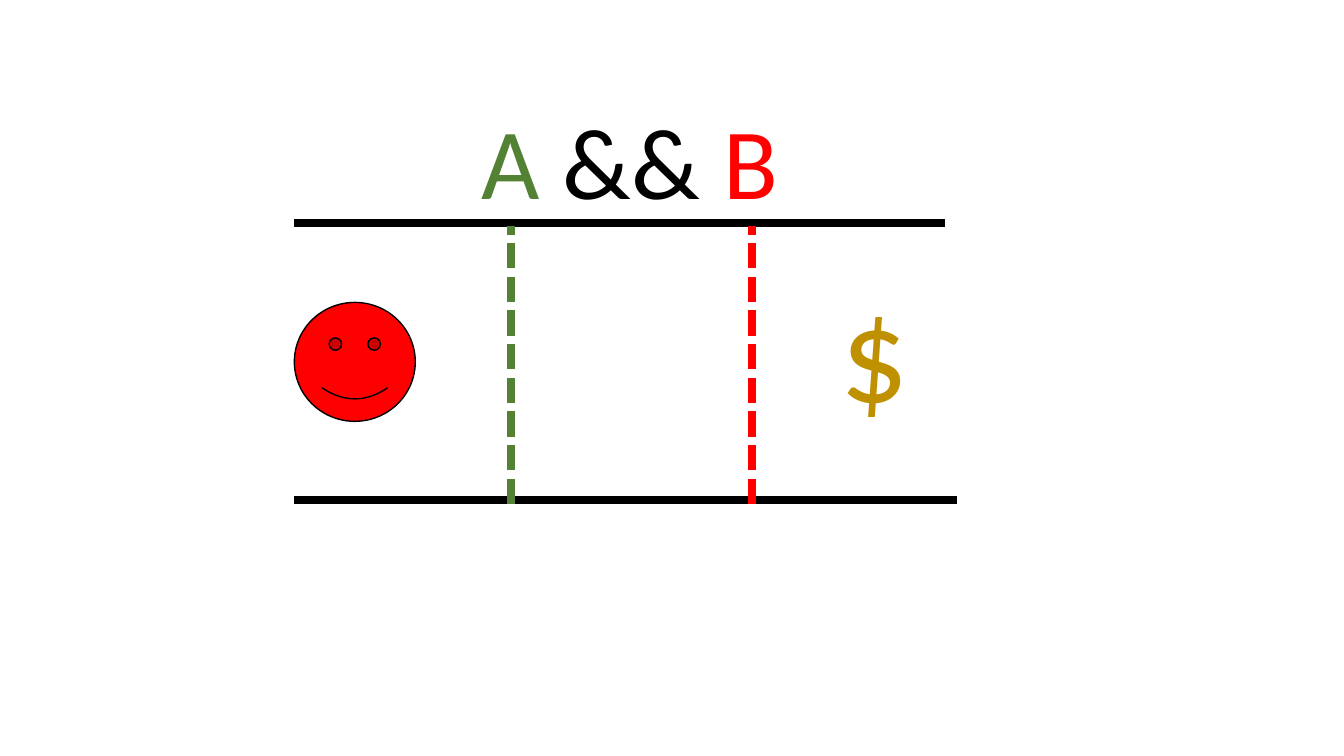
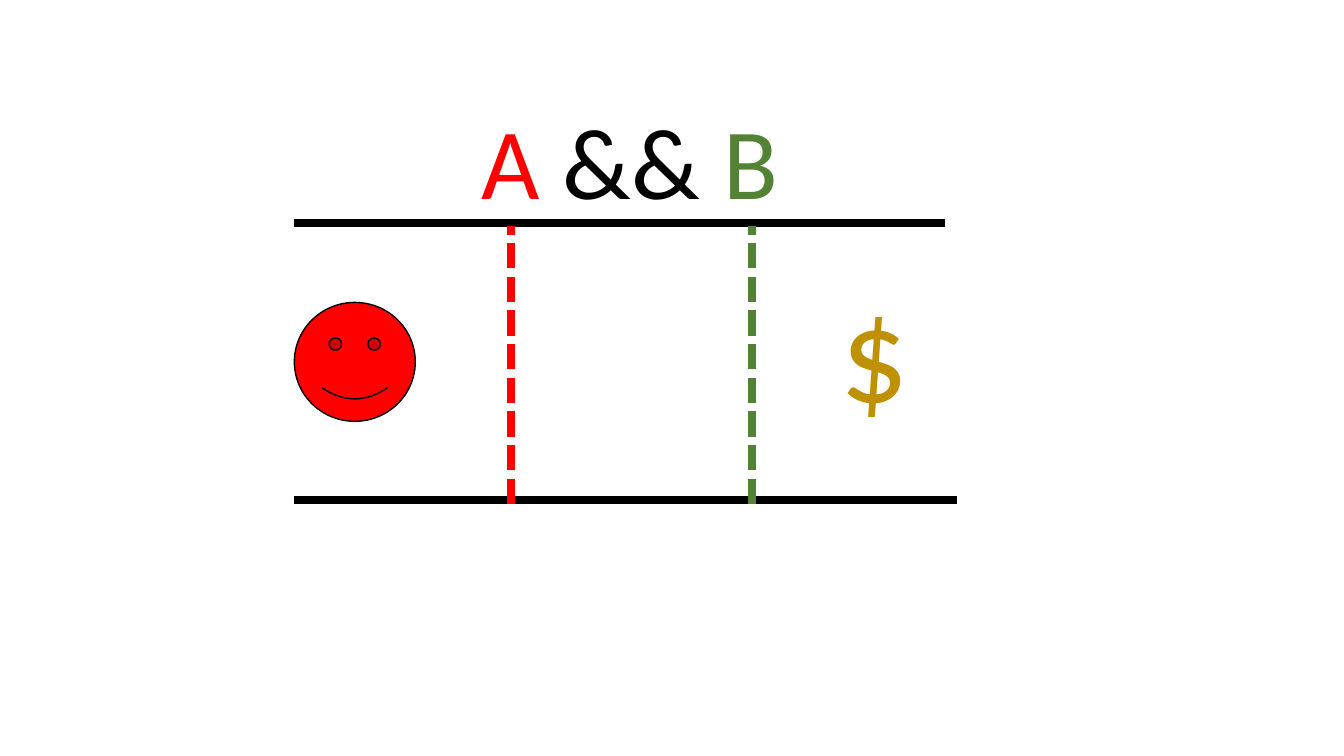
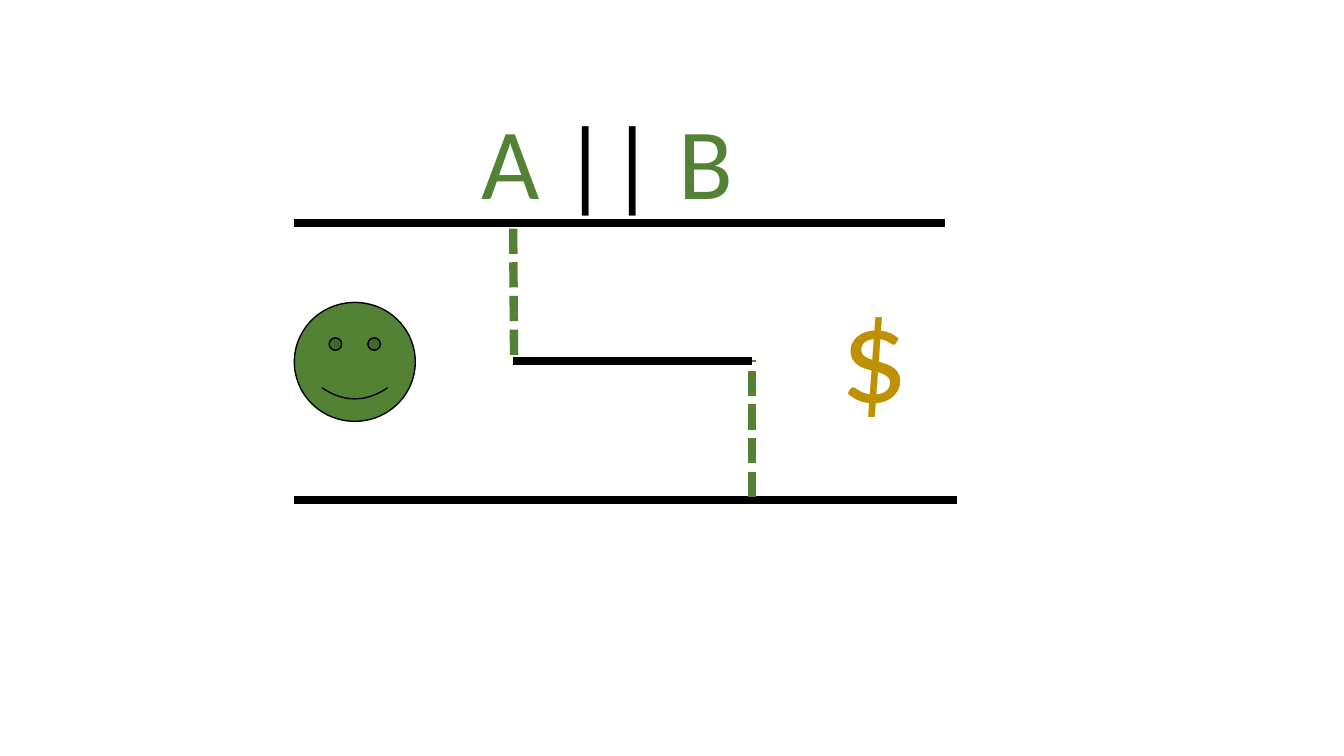
import dataclasses

import lxml.etree
import pptx
import pptx.dml.color
import pptx.enum.dml
import pptx.enum.shapes
import pptx.enum.text
import pptx.oxml.ns
import pptx.util


@dataclasses.dataclass(frozen=True)
class Theme:
    font: str = "Calibri"
    black: str = "000000"
    green: str = "548235"
    red: str = "FF0000"
    gold: str = "BF9000"
    formula_size: int = 72
    prize_size: int = 96
    wall_width: int = 6
    outline_width: int = 1


THEME = Theme()

LEFT, TOP_END, BOTTOM_END = 21.9, 70.28, 71.18
TOP, MIDDLE, BOTTOM = 29.47, 47.73, 66.13
GATE_A, GATE_B = 38.03, 55.95
GATE_TOP, GATE_BOTTOM = 29.87, 66.67
STEP = 38.18


def rgb(color):
    return pptx.dml.color.RGBColor.from_string(color)


def add_text(p, text, size, color):
    r = p.add_run()
    r.text = text
    r.font.name = THEME.font
    r.font.size = pptx.util.Pt(size)
    r.font.color.rgb = rgb(color)


class Deck:
    def __init__(self, theme):
        self.theme = theme
        self.prs = pptx.Presentation()
        self.prs.slide_width = pptx.util.Inches(13.33)
        self.prs.slide_height = pptx.util.Inches(7.5)
        self.s = None

    def new_slide(self):
        self.s = self.prs.slides.add_slide(self.prs.slide_layouts[6])

    def x(self, percent):
        return round(self.prs.slide_width * percent / 100)

    def y(self, percent):
        return round(self.prs.slide_height * percent / 100)

    def box(self, left, top, width, height):
        return self.x(left), self.y(top), self.x(width), self.y(height)

    def line(self, x1, y1, x2, y2, color=THEME.black, dashed=False):
        sp = self.s.shapes.add_connector(
            pptx.enum.shapes.MSO_CONNECTOR.STRAIGHT,
            self.x(x1), self.y(y1), self.x(x2), self.y(y2))
        sp.line.color.rgb = rgb(color)
        sp.line.width = pptx.util.Pt(self.theme.wall_width)
        if dashed:
            sp.line.dash_style = pptx.enum.dml.MSO_LINE.SQUARE_DOT
        lxml.etree.SubElement(sp._element.spPr, pptx.oxml.ns.qn("a:effectLst"))

    def gate(self, x1, y1, x2, y2, color):
        self.line(x1, y1, x2, y2, color, dashed=True)

    def text(self, left, top, width, height, runs, size):
        sp = self.s.shapes.add_textbox(*self.box(left, top, width, height))
        tf = sp.text_frame
        tf.word_wrap = False
        tf.auto_size = pptx.enum.text.MSO_AUTO_SIZE.SHAPE_TO_FIT_TEXT
        for text, color in runs:
            add_text(tf.paragraphs[0], text, size=size, color=color)

    def formula(self, width, operator, color_a, color_b):
        runs = [("A ", color_a), (operator + " ", self.theme.black), ("B", color_b)]
        self.text(35.1, 12.4, width, 17.47, runs, self.theme.formula_size)

    def walls(self):
        self.line(LEFT, TOP, TOP_END, TOP)
        self.line(LEFT, BOTTOM, BOTTOM_END, BOTTOM)

    def face(self, color):
        sp = self.s.shapes.add_shape(
            pptx.enum.shapes.MSO_SHAPE.SMILEY_FACE, *self.box(LEFT, 40, 9, 15.73))
        sp.shadow.inherit = False
        sp.fill.solid()
        sp.fill.fore_color.rgb = rgb(color)
        sp.line.color.rgb = rgb(self.theme.black)
        sp.line.width = pptx.util.Pt(self.theme.outline_width)

    def prize(self):
        self.text(61.8, 34.8, 6.6, 22.93, [("$", self.theme.gold)],
                  self.theme.prize_size)

    def and_slide(self, color_a, color_b):
        self.new_slide()
        self.walls()
        for gate_x, color in ((GATE_A, color_a), (GATE_B, color_b)):
            self.gate(gate_x, GATE_BOTTOM, gate_x, GATE_TOP, color)
        self.formula(23.78, "&&", color_a, color_b)
        self.face(self.theme.red)
        self.prize()

    def or_slide(self, color):
        self.new_slide()
        self.walls()
        self.gate(38.25, 46.93, STEP, GATE_TOP, color)
        self.gate(GATE_B, 65.73, GATE_B, 47.6, color)
        self.formula(20.4, "||", color, color)
        self.line(STEP, MIDDLE, GATE_B, MIDDLE)
        self.face(color)
        self.prize()


def main():
    deck = Deck(THEME)
    deck.and_slide(THEME.green, THEME.red)
    deck.and_slide(THEME.red, THEME.green)
    deck.or_slide(THEME.green)
    deck.prs.save("out.pptx")


if __name__ == "__main__":
    main()
